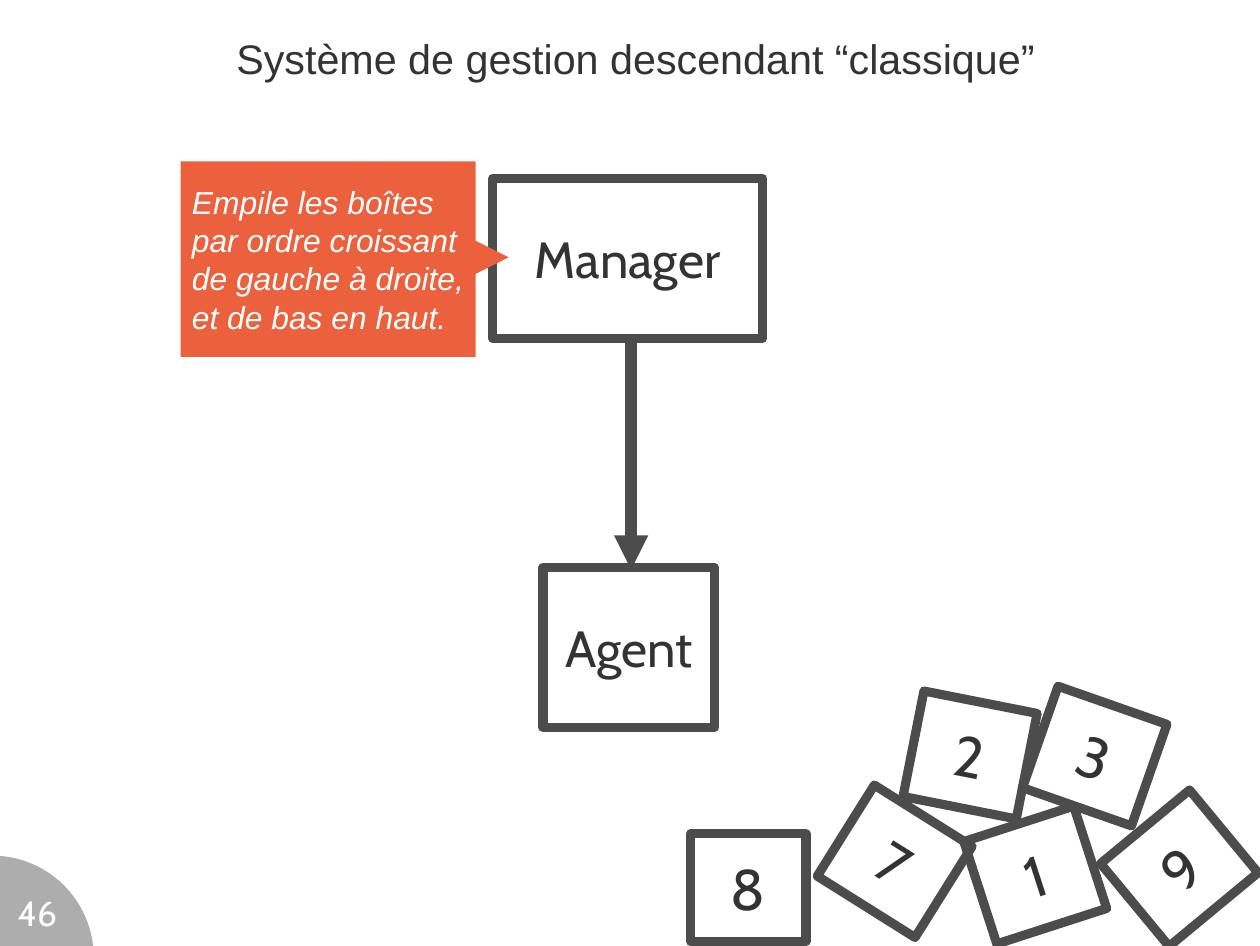
import pptx
import pptx.util
import pptx.dml.color
import pptx.enum.shapes
import pptx.enum.text
import pptx.oxml
import pptx.oxml.ns
import lxml.etree

PX = 9144  # 100 px to the inch
DARK, GREY, RED, WHITE = "333333", "4C4C4C", "EB613D", "FFFFFF"
KIND = pptx.enum.shapes.MSO_SHAPE
ALIGN = pptx.enum.text.PP_ALIGN
ANCHOR = pptx.enum.text.MSO_ANCHOR
qn = pptx.oxml.ns.qn


def color(code):
    return pptx.dml.color.RGBColor.from_string(code)


def write(shape, text, size=32, font="Cabin", ink=DARK, italic=False,
          align=ALIGN.CENTER, anchor=ANCHOR.MIDDLE, inset=(14, 9), wrap=False):
    frame = shape.text_frame
    frame.text = text
    frame.word_wrap = wrap
    frame.vertical_anchor = anchor
    frame.margin_left = frame.margin_right = inset[0] * PX
    frame.margin_top = frame.margin_bottom = inset[1] * PX
    for para in frame.paragraphs:
        para.alignment = align
        for run in para.runs:
            run.font.size = pptx.util.Pt(size)
            run.font.name = font
            run.font.italic = italic
            run.font.color.rgb = color(ink)


deck = pptx.Presentation()
deck.slide_width, deck.slide_height = 1102 * PX, 827 * PX
slide = deck.slides.add_slide(deck.slide_layouts[6])
shapes = slide.shapes

# Page number disc in the corner
disc = shapes.add_shape(KIND.OVAL, -96 * PX, 748 * PX, 178 * PX, 178 * PX)
disc.shadow.inherit = False
disc.line.fill.background()
disc.fill.solid()
disc.fill.fore_color.rgb = color(DARK)
tint = disc.fill._xPr.find(".//" + qn("a:srgbClr"))
lxml.etree.SubElement(tint, qn("a:alpha"), val="40000")

# Outlined boxes: text, left, top, width, height, turn, size
boxes = [("Manager", 431, 156, 236, 140, 0, 32),
         ("Agent", 475, 496, 150, 140, 0, 32)]
tiles = [("1", 855, 718, 342.1), ("2", 798, 613, 11.2), ("3", 907, 614, 19.3),
         ("7", 732, 706, 32.1), ("8", 604, 729, 0), ("9", 981, 712, 320.4)]
boxes += [(num, x, y, 101, 94, turn, 36) for num, x, y, turn in tiles]
for text, x, y, w, h, turn, size in boxes:
    box = shapes.add_shape(KIND.RECTANGLE, x * PX, y * PX, w * PX, h * PX)
    box.shadow.inherit = False
    box.rotation = turn
    box.fill.background()
    box.line.color.rgb = color(GREY)
    box.line.width = pptx.util.Pt(5.75)
    write(box, text, size=size)

# Arrow from manager to agent
arrow = shapes.add_connector(pptx.enum.shapes.MSO_CONNECTOR.STRAIGHT,
                             552 * PX, 298 * PX, 552 * PX, 498 * PX)
arrow.line.color.rgb = color(GREY)
arrow.line.width = pptx.util.Pt(7.2)
lxml.etree.SubElement(arrow.line._get_or_add_ln(), qn("a:tailEnd"), type="triangle")
lxml.etree.SubElement(arrow._element.spPr, qn("a:effectLst"))

# Callout with its pointer
group = shapes.add_group_shape()
for kind, x, y, w, h in [(KIND.DIAMOND, 385, 210, 60, 30),
                         (KIND.RECTANGLE, 158, 141, 258, 171)]:
    note = group.shapes.add_shape(kind, x * PX, y * PX, w * PX, h * PX)
    note.shadow.inherit = False
    note.line.fill.background()
    note.fill.solid()
    note.fill.fore_color.rgb = color(RED)
write(note, "Empile les boîtes\npar ordre croissant\vde gauche à droite,\vet de bas en haut.",
      size=20, font="Arial", ink=WHITE, italic=True, align=ALIGN.LEFT, inset=(10, 5))

# Title and page number
title = shapes.add_textbox(33 * PX, 2 * PX, 1047 * PX, 98 * PX)
write(title, "Système de gestion descendant “classique”",
      size=26, font="Arial", inset=(0, 0), wrap=True)
page = shapes.add_textbox(9 * PX, 779 * PX, 47 * PX, 39 * PX)
write(page, "46", size=22, ink=WHITE, anchor=ANCHOR.TOP, inset=(0, 0), wrap=True)

deck.save("out.pptx")
